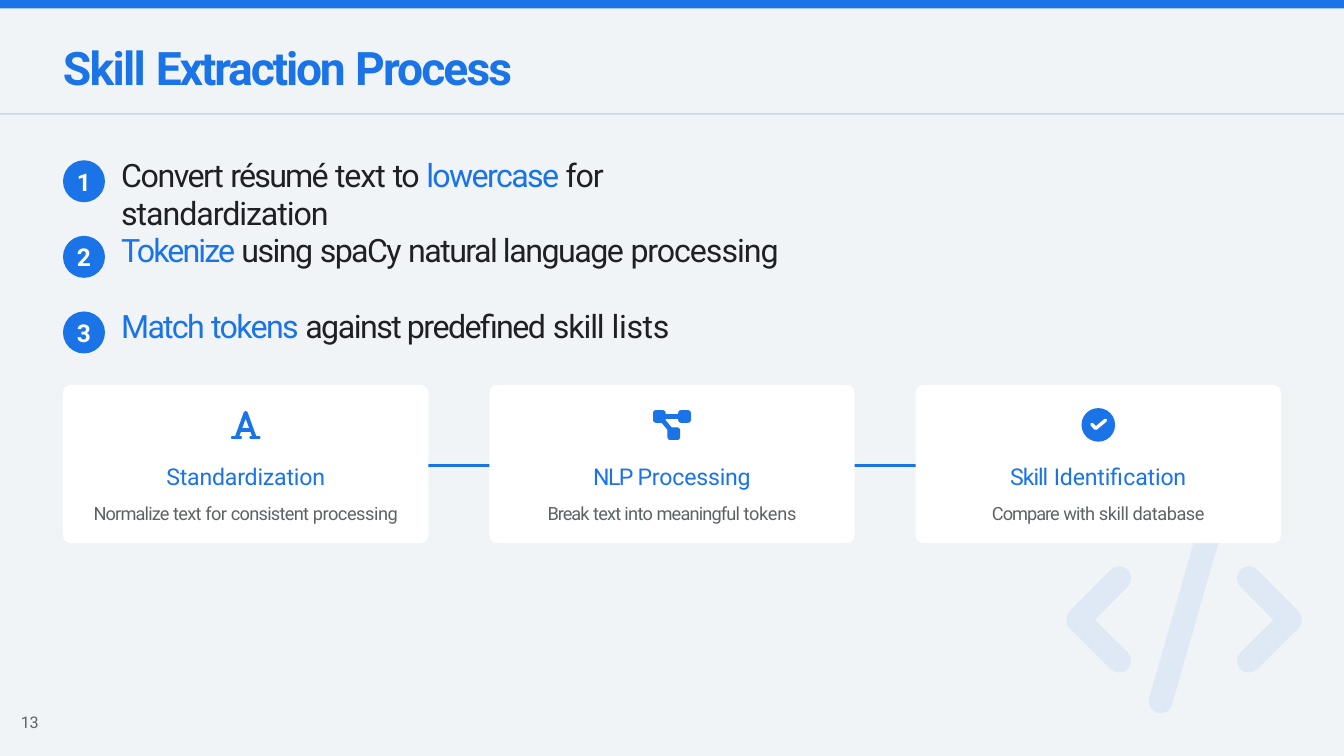
"""Build the skill extraction process slide."""
from typing import NamedTuple

from lxml.etree import SubElement
from pptx import Presentation
from pptx.dml.color import RGBColor
from pptx.enum.shapes import MSO_CONNECTOR as Link, MSO_SHAPE as Preset
from pptx.enum.text import MSO_ANCHOR as Anchor, MSO_AUTO_SIZE as AutoSize, PP_ALIGN as Align
from pptx.oxml.ns import qn
from pptx.util import Pt

BLUE, INK, GRAY, WHITE, MIST = "1A73E7", "202024", "5E6267", "FFFFFF", "F0F4F7"
WIDTH, HEIGHT, MARGIN = 960, 540, 45
STEP_TOP, STEP_PITCH, BADGE = 114.5, 54, 30
CARD_TOP, CARD_WIDTH, CARD_HEIGHT, CARD_PITCH = 275, 261, 113, 304.5
ICON_Y = 303.5

Point = tuple[float, float]


class Span(NamedTuple):
    text: str
    spacing: float
    color: str = INK


class Step(NamedTuple):
    width: float
    spans: list[Span]


class Card(NamedTuple):
    text_width: float
    heading: list[Span]
    detail: list[Span]
    discs: list[float]
    nodes: list[Point]
    strokes: list[list[Point]]
    stroke_width: float
    stroke_color: str


TITLE = [Span("Skill ", -1.2), Span("Extraction ", -1.6), Span("Process", -1.4)]
STEPS = [
    Step(497, [Span("Convert ", -1.1), Span("résumé ", -1.3), Span("text ", -0.8), Span("to ", -1.1),
               Span("lowercase ", -1.2, BLUE), Span("for ", -0.9), Span("standardization", -0.8)]),
    Step(474, [Span("Tokenize ", -1.4, BLUE), Span("using ", -1.1), Span("spaCy ", -1.2),
               Span("natural language ", -1.1), Span("processing", -0.8)]),
    Step(394, [Span("Match ", -1.3, BLUE), Span("tokens ", -1.2, BLUE),
               Span("against predefined ", -1.1), Span("skill ", -0.8), Span("lists", -0.3)]),
]
CARDS = [
    Card(218, [Span("Standardization", -0.1)],
         [Span("Normalize ", -0.6), Span("text ", -0.5), Span("for ", -0.4),
          Span("consistent ", -0.5), Span("processing", -0.3)],
         [], [],
         [[(-6.2, 8.5), (0, -8.6), (6.2, 8.5)], [(-3.8, 4), (3.8, 4)],
          [(-9.2, 9), (-4, 9)], [(4, 9), (9.2, 9)]], 2.8, BLUE),
    Card(180, [Span("NLP ", -1.1), Span("Processing", -0.1)],
         [Span("Break ", -0.7), Span("text into ", -0.5), Span("meaningful ", -0.6),
          Span("tokens", -0.2)],
         [], [(-9, -6), (9, -6), (1.3, 6.3)],
         [[(9, -6), (-9, -6), (1.3, 6.3)]], 3.4, BLUE),
    Card(152, [Span("Skill", -0.7), Span(" Identification", -0.1)],
         [Span("Compare ", -0.7), Span("with ", -0.5), Span("skill database", -0.3)],
         [24], [],
         [[(-4.6, -0.4), (-1.8, 2.5), (5.2, -3.3)]], 2.4, WHITE),
]
CODE_SYMBOL = [
    [(862.5, 384), (829, 501)],
    [(892, 413), (921.5, 442.8), (892, 472)],
    [(799.5, 413), (770, 442.8), (799.5, 472)],
]


def rgb(color: str) -> RGBColor:
    return RGBColor.from_string(color)


def set_alpha(shape, percent: int) -> None:
    for tint in shape.element.spPr.iter(qn("a:srgbClr")):
        SubElement(tint, qn("a:alpha")).set("val", str(percent * 1000))


def add_span(para, text: str, *, size: float, color: str, spacing: float = 0, bold: bool = False) -> None:
    span = para.add_run()
    span.text = text
    span.font.name = "Roboto"
    span.font.size = Pt(size)
    span.font.bold = bold
    span.font.color.rgb = rgb(color)
    span.font._element.set("spc", str(round(spacing * 100)))


def prepare_frame(shape, *, inset_left: float = 0, inset_top: float = 0, anchor=Anchor.TOP):
    frame = shape.text_frame
    frame.word_wrap = True
    frame.auto_size = AutoSize.NONE
    frame.vertical_anchor = anchor
    frame.margin_left, frame.margin_top = Pt(inset_left), Pt(inset_top)
    frame.margin_right = frame.margin_bottom = 0
    return frame


def add_box(page, left: float, top: float, width: float, height: float):
    return page.shapes.add_textbox(Pt(left), Pt(top), Pt(width), Pt(height))


def add_filled(page, preset, left: float, top: float, width: float, height: float,
               color: str, radius: float = 0):
    shape = page.shapes.add_shape(preset, Pt(left), Pt(top), Pt(width), Pt(height))
    shape.shadow.inherit = False
    shape.fill.solid()
    shape.fill.fore_color.rgb = rgb(color)
    shape.line.fill.background()
    if radius:
        shape.adjustments[0] = radius / min(width, height)
    return shape


def add_rule(page, left: float, right: float, y: float, width: float):
    rule = page.shapes.add_connector(Link.STRAIGHT, Pt(left), Pt(y), Pt(right), Pt(y))
    rule.line.color.rgb = rgb(BLUE)
    rule.line.width = Pt(width)
    SubElement(rule.element.spPr, qn("a:effectLst"))
    return rule


def add_strokes(page, strokes: list[list[Point]], width: float, color: str,
                x: float = 0, y: float = 0):
    placed = [[(Pt(x + dx), Pt(y + dy)) for dx, dy in stroke] for stroke in strokes]
    builder = page.shapes.build_freeform(*placed[0][0])
    for index, stroke in enumerate(placed):
        if index:
            builder.move_to(*stroke[0])
        builder.add_line_segments(stroke[1:], close=False)
    shape = builder.convert_to_shape()
    shape.shadow.inherit = False
    shape.fill.background()
    shape.line.color.rgb = rgb(color)
    shape.line.width = Pt(width)
    outline = shape.element.spPr.find(qn("a:ln"))
    outline.set("cap", "rnd")
    SubElement(outline, qn("a:round"))
    return shape


def add_title(page) -> None:
    title = page.shapes.title
    title.left, title.top, title.width, title.height = Pt(44), Pt(26.6), Pt(541.4), Pt(44.6)
    para = prepare_frame(title, inset_left=0.9, inset_top=1.4).paragraphs[0]
    para.alignment = Align.LEFT
    for span in TITLE:
        add_span(para, span.text, size=33, color=BLUE, spacing=span.spacing, bold=True)


def add_step(page, index: int, step: Step) -> None:
    top = STEP_TOP + index * STEP_PITCH
    badge = add_filled(page, Preset.OVAL, MARGIN, top, BADGE, BADGE, BLUE)
    para = prepare_frame(badge, anchor=Anchor.MIDDLE).paragraphs[0]
    para.alignment = Align.CENTER
    add_span(para, str(index + 1), size=17.5, color=WHITE, spacing=-0.5, bold=True)
    box = add_box(page, 85.7, top - 5.1, step.width, BADGE)
    para = prepare_frame(box, inset_left=0.9, inset_top=1.4).paragraphs[0]
    for span in step.spans:
        add_span(para, span.text, size=23, color=span.color, spacing=span.spacing)


def add_card(page, index: int, card: Card) -> None:
    left = MARGIN + index * CARD_PITCH
    center = left + CARD_WIDTH / 2
    add_filled(page, Preset.ROUNDED_RECTANGLE, left, CARD_TOP, CARD_WIDTH, CARD_HEIGHT, WHITE, 5.5)
    for size in card.discs:
        add_filled(page, Preset.OVAL, center - size / 2, ICON_Y - size / 2, size, size, BLUE)
    for dx, dy in card.nodes:
        add_filled(page, Preset.ROUNDED_RECTANGLE, center + dx - 4.5, ICON_Y + dy - 4.5, 9, 9, BLUE, 2)
    add_strokes(page, card.strokes, card.stroke_width, card.stroke_color, center, ICON_Y)
    box = add_box(page, center - card.text_width / 2, 319, card.text_width, 56)
    frame = prepare_frame(box, inset_top=11.5)
    heading, detail = frame.paragraphs[0], frame.add_paragraph()
    detail.space_before = Pt(8.4)
    for para, spans, size, color in ((heading, card.heading, 16.5, BLUE), (detail, card.detail, 13, GRAY)):
        para.alignment = Align.CENTER
        for span in spans:
            add_span(para, span.text, size=size, color=color, spacing=span.spacing)


def main() -> None:
    deck = Presentation()
    deck.slide_width, deck.slide_height = Pt(WIDTH), Pt(HEIGHT)
    page = deck.slides.add_slide(deck.slide_layouts[5])
    page.background.fill.solid()
    page.background.fill.fore_color.rgb = rgb(MIST)
    add_filled(page, Preset.RECTANGLE, 0, 0, WIDTH, 6, BLUE)
    set_alpha(add_rule(page, 0, WIDTH, 81.4, 1), 20)
    add_title(page)
    for index, step in enumerate(STEPS):
        add_step(page, index, step)
    set_alpha(add_strokes(page, CODE_SYMBOL, 17, BLUE), 8)
    middle = MARGIN + CARD_WIDTH / 2
    add_rule(page, middle, middle + 2 * CARD_PITCH, 332.6, 2.4)
    for index, card in enumerate(CARDS):
        add_card(page, index, card)
    para = prepare_frame(add_box(page, 12.2, 511, 19, 12.5), inset_left=2.8).paragraphs[0]
    para.line_spacing = Pt(11.3)
    add_span(para, "13", size=11.5, color=GRAY, spacing=-0.2)
    deck.save("out.pptx")


if __name__ == "__main__":
    main()
